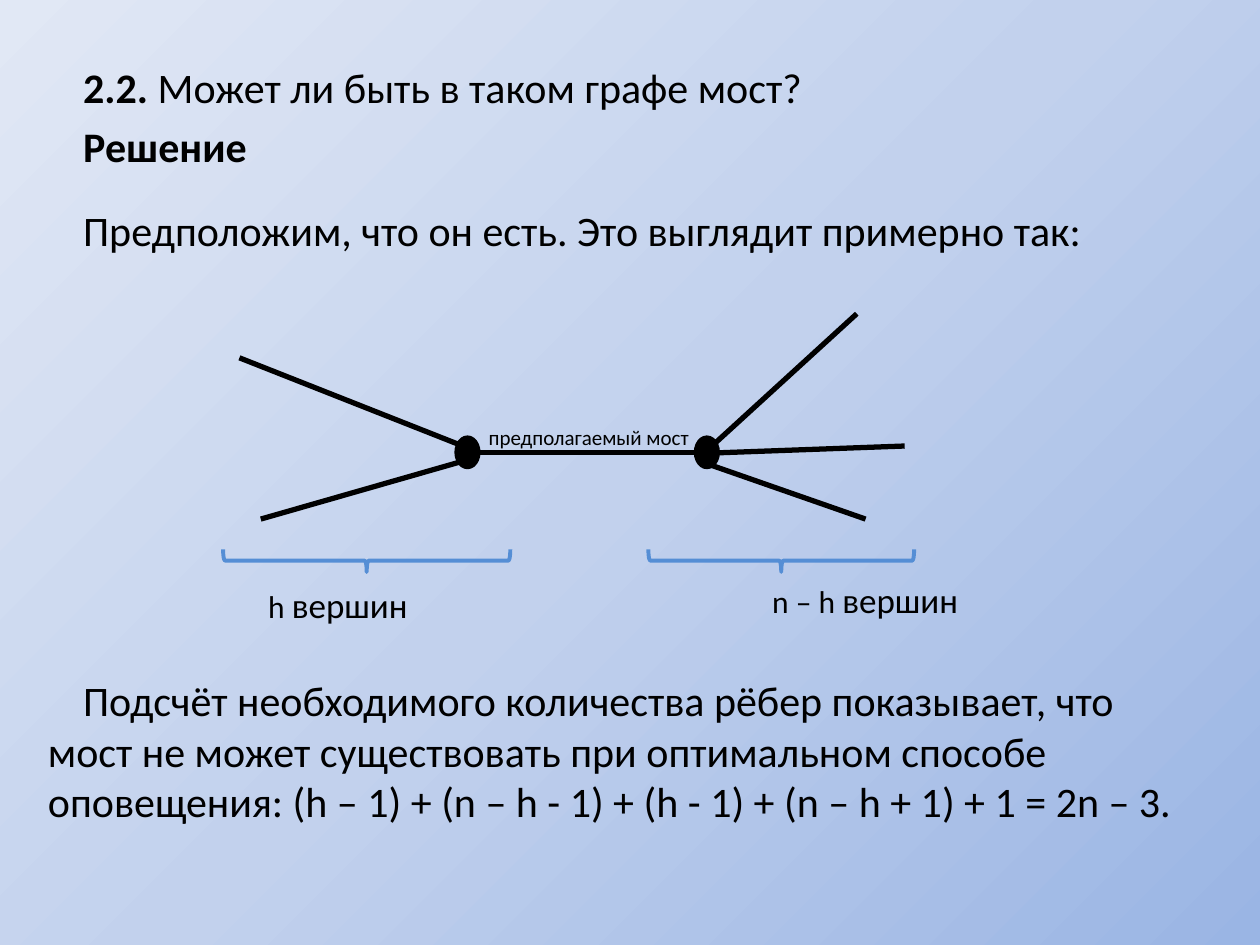
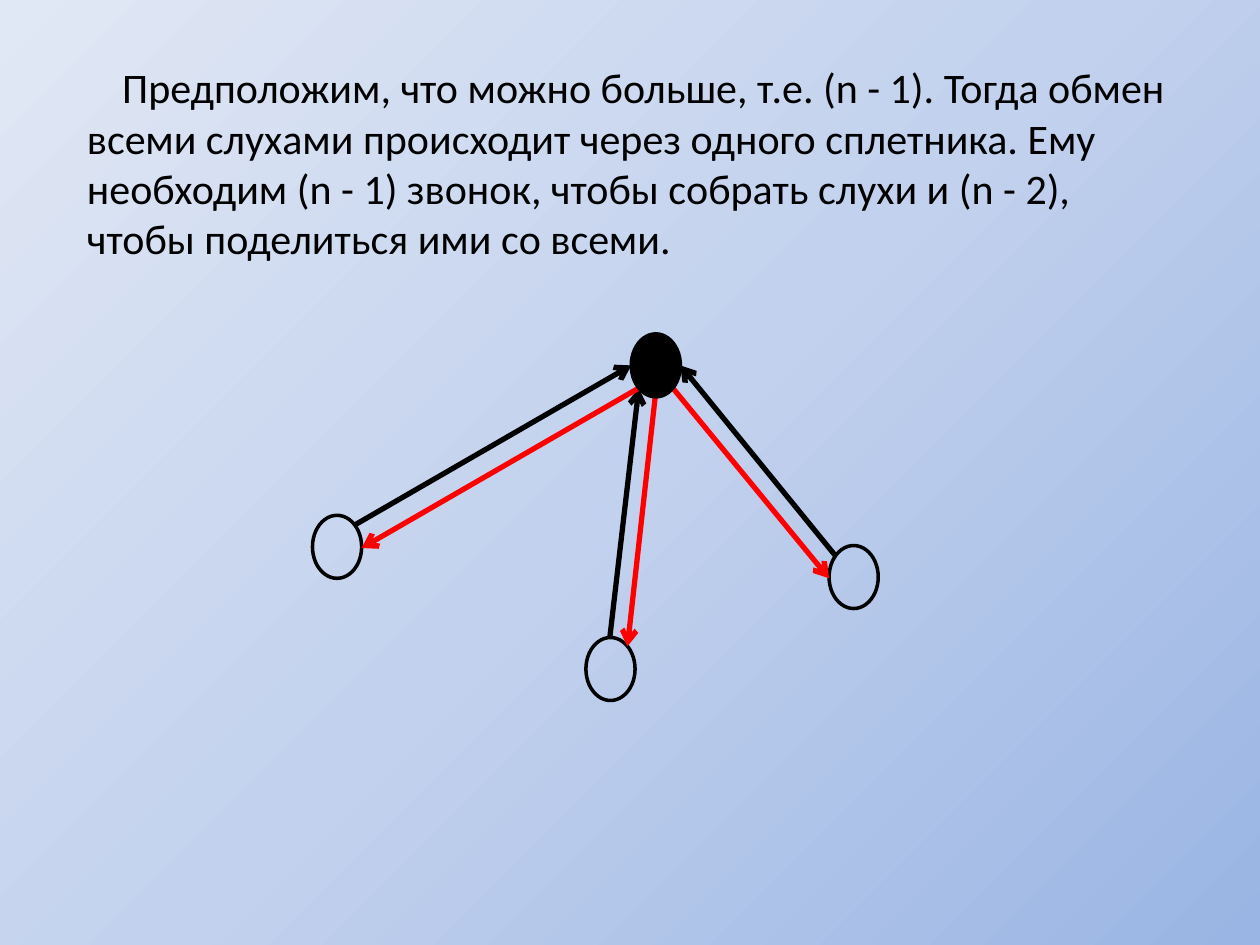
from copy import deepcopy
from dataclasses import dataclass

from lxml.etree import SubElement
from pptx import Presentation
from pptx.dml.color import RGBColor
from pptx.enum.shapes import MSO_CONNECTOR, MSO_SHAPE
from pptx.enum.text import MSO_ANCHOR, MSO_AUTO_SIZE
from pptx.oxml.ns import qn
from pptx.util import Inches, Pt


@dataclass(frozen=True)
class Theme:
    font: str = "Calibri"
    ink: str = "000000"
    reply: str = "FF0000"
    brace: str = "558ED5"
    background: tuple = (("9AB5E4", 0), ("C2D1ED", 0.5), ("E1E8F5", 1))
    body: int = 24
    label: int = 20
    symbol: int = 18
    note: int = 12
    edge: float = 3
    outline: float = 2
    brace_line: float = 2.25


THEME = Theme()


def rgb(value):
    return RGBColor.from_string(value)


# Shared background and slide frame
def set_background(master):
    fill = master.background.fill
    fill.gradient()
    fill.gradient_angle = 135
    stops = master.element.find(".//" + qn("a:gsLst"))
    stops.append(deepcopy(stops[-1]))
    for stop, (color, position) in zip(fill.gradient_stops, THEME.background):
        stop.color.rgb = rgb(color)
        stop.position = position


def add_slide(prs):
    s = prs.slides.add_slide(prs.slide_layouts[1])
    title = s.shapes.title.element
    title.getparent().remove(title)
    return s


# Text
def add_run(p, text, size, bold=False):
    r = p.add_run()
    r.text = text
    r.font.name = THEME.font
    r.font.size = Pt(size)
    r.font.bold = bold
    r.font.color.rgb = rgb(THEME.ink)


def fill_body(s, box, paragraphs):
    """Each paragraph is (runs, line spacing, points before); None inherits."""
    sp = s.placeholders[1]
    sp.left, sp.top, sp.width, sp.height = map(Inches, box)
    tf = sp.text_frame
    tf.auto_size = MSO_AUTO_SIZE.NONE
    tf.vertical_anchor = MSO_ANCHOR.TOP
    for i, (runs, spacing, before) in enumerate(paragraphs):
        p = tf.add_paragraph() if i else tf.paragraphs[0]
        if spacing:
            p.line_spacing = spacing
        if before:
            p.space_before = Pt(before)
        pPr = p._p.get_or_add_pPr()
        pPr.set("marL", "0")
        pPr.set("indent", str(Inches(0.28)))
        SubElement(pPr, qn("a:buNone"))
        for text, bold in runs:
            add_run(p, text, THEME.body, bold)


def add_label(shapes, box, *runs):
    tf = shapes.add_textbox(*map(Inches, box)).text_frame
    tf.word_wrap = True
    for text, size in runs:
        add_run(tf.paragraphs[0], text, size)


# Graph parts
def add_node(shapes, left, top, width, height, filled=False):
    sp = shapes.add_shape(MSO_SHAPE.OVAL, *map(Inches, (left, top, width, height)))
    sp.shadow.inherit = False
    if filled:
        sp.fill.solid()
        sp.fill.fore_color.rgb = rgb(THEME.ink)
    else:
        sp.fill.background()
    sp.line.color.rgb = rgb(THEME.ink)
    sp.line.width = Pt(THEME.outline)


def add_edge(shapes, start, end, color=THEME.ink, arrow=False):
    c = shapes.add_connector(MSO_CONNECTOR.STRAIGHT, *map(Inches, start + end))
    c.line.color.rgb = rgb(color)
    c.line.width = Pt(THEME.edge)
    spPr = c.element.spPr
    if arrow:
        SubElement(spPr.find(qn("a:ln")), qn("a:tailEnd"), type="arrow")
    SubElement(spPr, qn("a:effectLst"))


def add_brace(shapes, center, span):
    """Draw a brace lying under the graph, with its tip pointing down."""
    x, y = center
    depth = 0.18
    sp = shapes.add_shape(
        MSO_SHAPE.RIGHT_BRACE,
        *map(Inches, (x - depth / 2, y - span / 2, depth, span)))
    sp.rotation = 90
    sp.shadow.inherit = False
    sp.fill.background()
    sp.line.color.rgb = rgb(THEME.brace)
    sp.line.width = Pt(THEME.brace_line)


# Slides
def bridge_slide(prs):
    s = add_slide(prs)
    fill_body(s, (0.28, 0.44, 9.3, 6.61), [
        ([("2.2. ", True), ("Может ли быть в таком графе мост?", False)], None, None),
        ([("Решение", True)], None, None),
        ([("Предположим, что он есть. Это выглядит примерно так:", False)], 1.5, None),
        ([("Подсчёт необходимого количества рёбер показывает, что мост не может "
           "существовать при оптимальном способе оповещения: (h – 1) + (n – h - 1) "
           "+ (h - 1) + (n – h + 1) + 1 = 2n – 3.", False)], None, 240),
    ])
    shapes = s.shapes.add_group_shape().shapes
    for left in (5.52, 3.62):
        add_node(shapes, left, 3.47, 0.18, 0.24, filled=True)
    edges = [
        ((3.8, 3.59), (5.7, 3.59)),  # the bridge
        ((1.9, 2.84), (3.8, 3.59)),
        ((2.07, 4.12), (3.64, 3.67)),
        ((5.53, 3.6), (7.18, 3.54)),
        ((5.58, 3.67), (6.87, 4.12)),
        ((5.53, 3.65), (6.8, 2.49)),
    ]
    for start, end in edges:
        add_edge(shapes, start, end)
    add_label(shapes, (3.78, 3.32, 2.67, 0.3), ("предполагаемый мост", THEME.note))
    for box, symbol in (((6.03, 4.54, 1.82, 0.44), "n – h "),
                        ((2.03, 4.58, 1.38, 0.44), "h ")):
        add_label(shapes, box, (symbol, THEME.symbol), ("вершин", THEME.label))
    add_brace(shapes, (2.91, 4.45), 2.28)
    add_brace(shapes, (6.2, 4.45), 2.11)


def hub_slide(prs):
    s = add_slide(prs)
    fill_body(s, (0.59, 0.44, 8.91, 6.26), [
        ([("Предположим, что можно больше, т.е. (n - 1). Тогда обмен всеми слухами "
           "происходит через одного сплетника. Ему необходим (n - 1) звонок, чтобы "
           "собрать слухи и (n - 2), чтобы поделиться ими со всеми.", False)], None, None),
    ])
    shapes = s.shapes.add_group_shape().shapes
    size = (0.39, 0.5)
    for left, top in ((6.58, 4.33), (4.65, 5.06), (2.48, 4.09)):
        add_node(shapes, left, top, *size)
    calls_in = [
        ((2.81, 4.17), (5.01, 2.9)),
        ((6.63, 4.41), (5.4, 2.9)),
        ((4.84, 5.06), (5.07, 3.08)),
    ]
    calls_out = [
        ((5.07, 3.08), (2.87, 4.35)),
        ((5.2, 3.15), (4.98, 5.13)),
        ((5.34, 3.08), (6.58, 4.59)),
    ]
    for color, calls in ((THEME.ink, calls_in), (THEME.reply, calls_out)):
        for start, end in calls:
            add_edge(shapes, start, end, color, arrow=True)
    add_node(shapes, 5.01, 2.65, *size, filled=True)


def main():
    prs = Presentation()
    prs.slide_width, prs.slide_height = Inches(10), Inches(7.5)
    set_background(prs.slide_master)
    bridge_slide(prs)
    hub_slide(prs)
    prs.save("out.pptx")


main()
